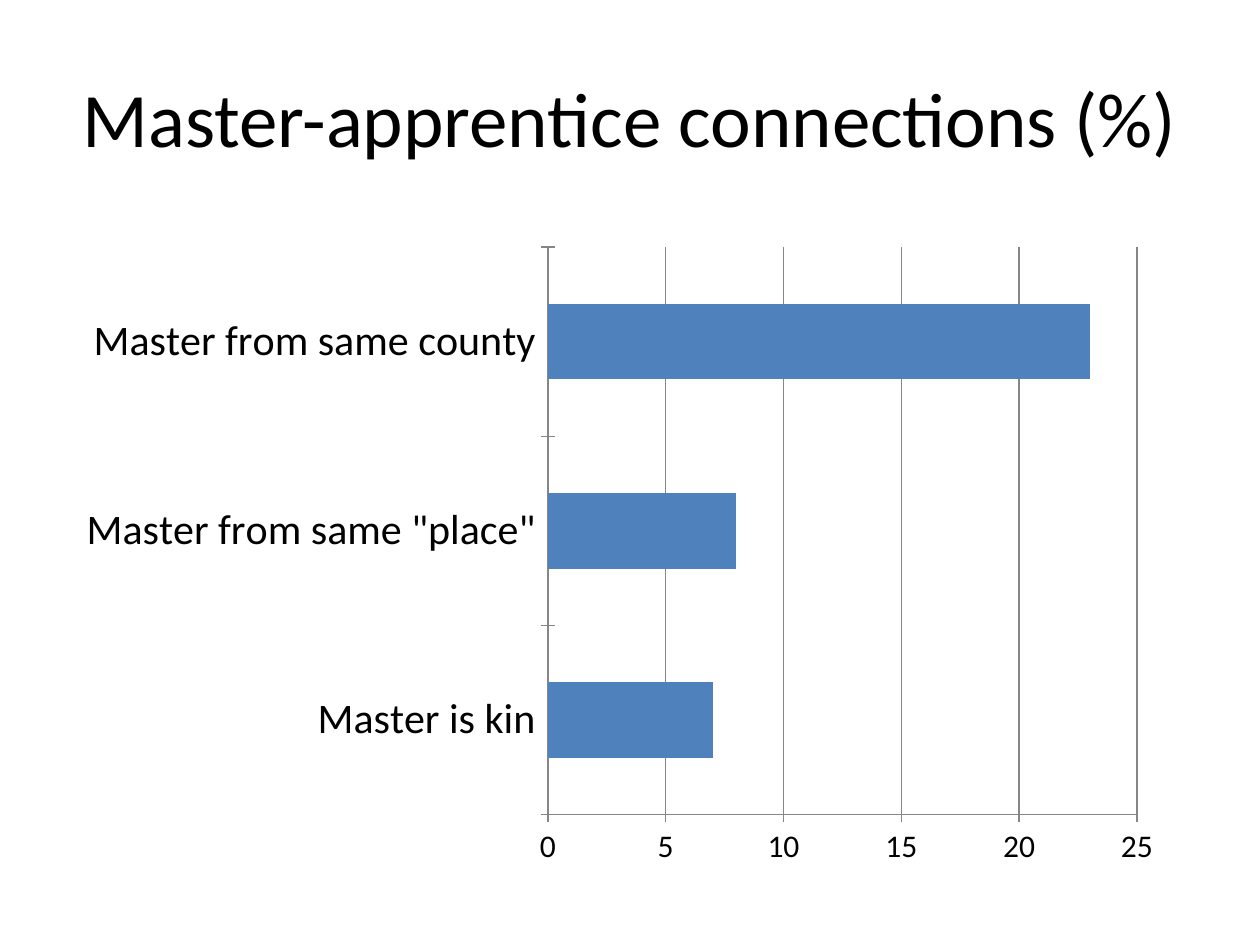
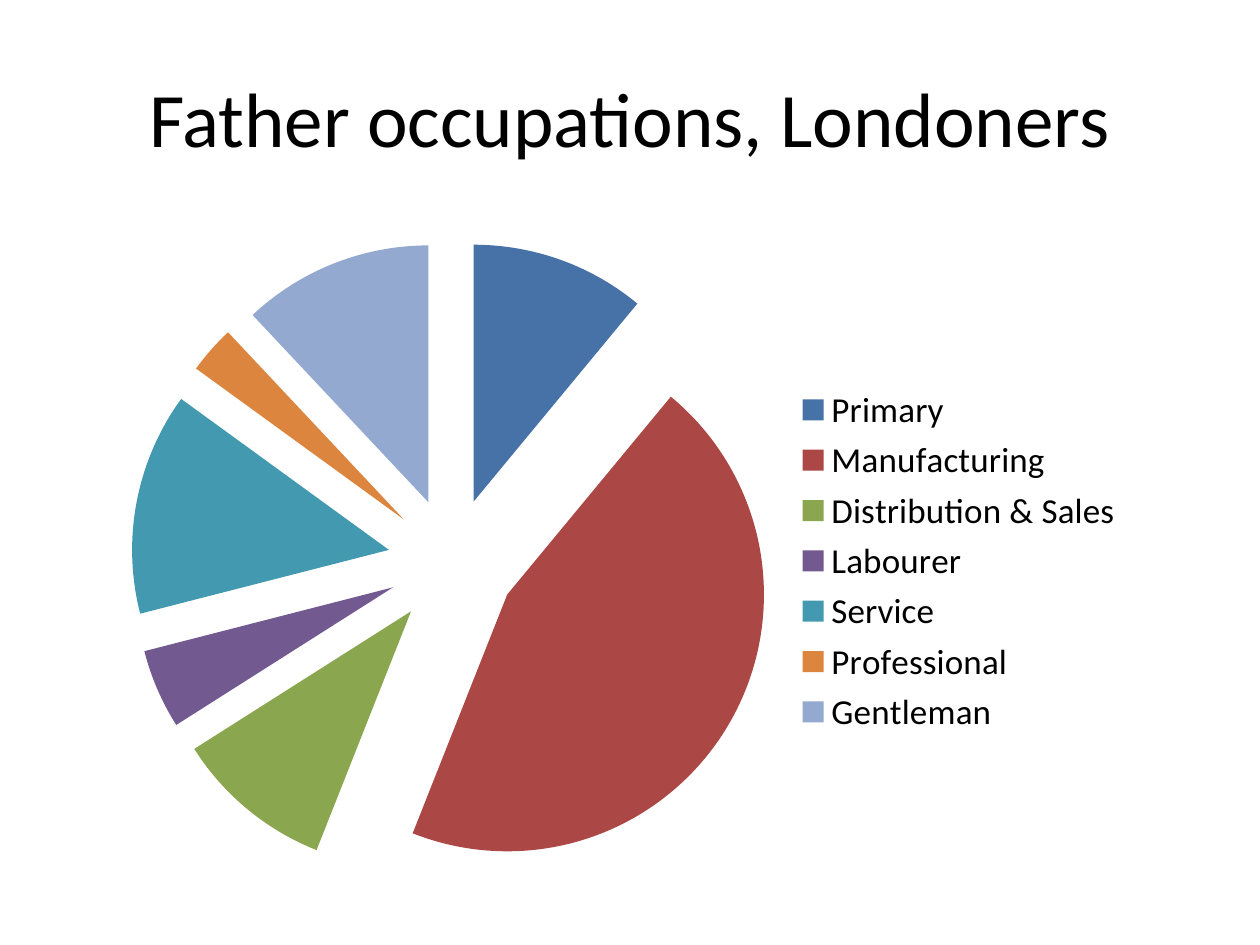
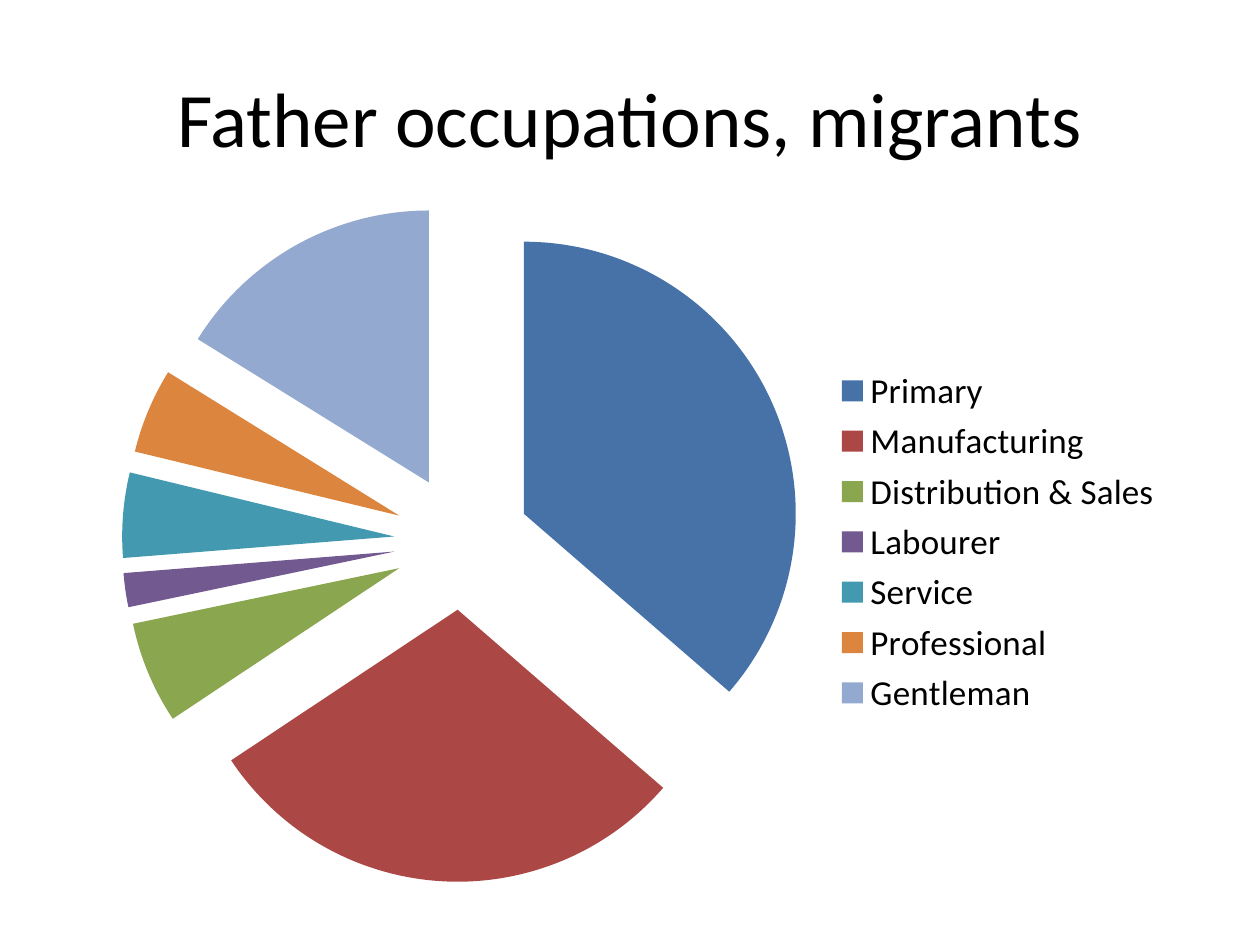
from lxml import etree
from pptx import Presentation
from pptx.chart.data import CategoryChartData
from pptx.dml.color import RGBColor
from pptx.enum.chart import XL_CHART_TYPE, XL_LEGEND_POSITION, XL_TICK_MARK
from pptx.enum.text import MSO_ANCHOR, PP_ALIGN
from pptx.oxml.ns import qn
from pptx.util import Pt

BAR = XL_CHART_TYPE.BAR_CLUSTERED
PIE = XL_CHART_TYPE.PIE
RIGHT = XL_LEGEND_POSITION.RIGHT
CROSS = XL_TICK_MARK.CROSS
MIDDLE = MSO_ANCHOR.MIDDLE
CENTER = PP_ALIGN.CENTER

PX = 914400 / 126
FONT = "Calibri"
BLACK = "000000"
BAR_BLUE = "4F81BD"
AXIS_GRAY = "868686"
TITLE_BOX = (63, 38, 1134, 157)
color = RGBColor.from_string


def add_text(slide, text, box, size=44, ink=BLACK, align=CENTER, anchor=MIDDLE):
    frame = slide.shapes.add_textbox(*[round(n * PX) for n in box]).text_frame
    frame.word_wrap = True
    frame.vertical_anchor = anchor
    paragraph = frame.paragraphs[0]
    paragraph.text = text
    paragraph.alignment = align
    paragraph.font.name = FONT
    paragraph.font.size = Pt(size)
    paragraph.font.color.rgb = color(ink)


def add_chart(slide, kind, categories, values, box, plot_box):
    data = CategoryChartData()
    data.categories = categories
    data.add_series("Series 1", values)
    chart = slide.shapes.add_chart(kind, *[round(n * PX) for n in box], data).chart
    chart.has_title = False
    chart.has_legend = False
    chart.font.name = FONT
    chart.font.size = Pt(10)
    chart.font.color.rgb = color(BLACK)

    plot_area = chart.plots[0]._element.getparent()
    for automatic in plot_area.findall(qn("c:layout")):
        plot_area.remove(automatic)
    layout = etree.Element(qn("c:layout"))
    manual = etree.SubElement(layout, qn("c:manualLayout"))
    left, top, width, height = box
    x, y, w, h = plot_box
    settings = {
        "layoutTarget": "inner", "xMode": "edge", "yMode": "edge",
        "x": (x - left) / width, "y": (y - top) / height,
        "w": w / width, "h": h / height,
    }
    for tag, value in settings.items():
        etree.SubElement(manual, qn(f"c:{tag}")).set("val", str(value))
    plot_area.insert(0, layout)
    return chart


prs = Presentation()
prs.slide_width = round(1260 * PX)
prs.slide_height = round(945 * PX)
blank = prs.slide_layouts[6]

slide = prs.slides.add_slide(blank)
add_text(slide, "Master-apprentice connections (%)", TITLE_BOX)
connections = add_chart(
    slide, BAR,
    ["Master is kin", 'Master from same "place"', "Master from same county"],
    [7, 8, 23], (64, 234, 1111, 645), (548, 247, 589, 568),
)
bars = connections.plots[0]
bars.gap_width = 150
bars.vary_by_categories = False
bars.series[0].format.fill.solid()
bars.series[0].format.fill.fore_color.rgb = color(BAR_BLUE)
for axis, size in ((connections.category_axis, 24), (connections.value_axis, 18)):
    axis.major_tick_mark = CROSS
    axis.tick_labels.font.size = Pt(size)
    axis.format.line.color.rgb = color(AXIS_GRAY)
    axis.format.line.width = Pt(0.75)
share_axis = connections.value_axis
share_axis.minimum_scale = 0
share_axis.maximum_scale = 25
share_axis.major_unit = 5
share_axis.has_major_gridlines = True
share_axis.major_gridlines.format.line.color.rgb = color(AXIS_GRAY)
share_axis.major_gridlines.format.line.width = Pt(0.75)

OCCUPATIONS = {
    "Primary": "4672A8",
    "Manufacturing": "AB4744",
    "Distribution & Sales": "8AA64F",
    "Labourer": "725990",
    "Service": "4299B0",
    "Professional": "DC853E",
    "Gentleman": "93A9D0",
}
FATHERS = [
    ("Father occupations, Londoners", [11, 45, 10, 5, 14, 3, 12],
     (115, 204, 1022, 714), (131, 241, 642, 642)),
    ("Father occupations, migrants", [36, 29, 6, 2, 5, 5, 16],
     (95, 185, 1081, 714), (122, 202, 680, 680)),
]
for title, shares, box, plot_box in FATHERS:
    slide = prs.slides.add_slide(blank)
    add_text(slide, title, TITLE_BOX)
    fathers = add_chart(slide, PIE, list(OCCUPATIONS), shares, box, plot_box)
    fathers.has_legend = True
    fathers.legend.position = RIGHT
    fathers.legend.include_in_layout = False
    fathers.legend.font.size = Pt(20)
    fathers.plots[0].vary_by_categories = True
    slices = fathers.plots[0].series[0]
    slices.format.line.fill.background()
    explosion = etree.Element(qn("c:explosion"), val="25")
    slices._element.find(qn("c:spPr")).addnext(explosion)
    for index, shade in enumerate(OCCUPATIONS.values()):
        wedge = slices.points[index].format
        wedge.fill.solid()
        wedge.fill.fore_color.rgb = color(shade)
        wedge.line.fill.background()

prs.save("out.pptx")
